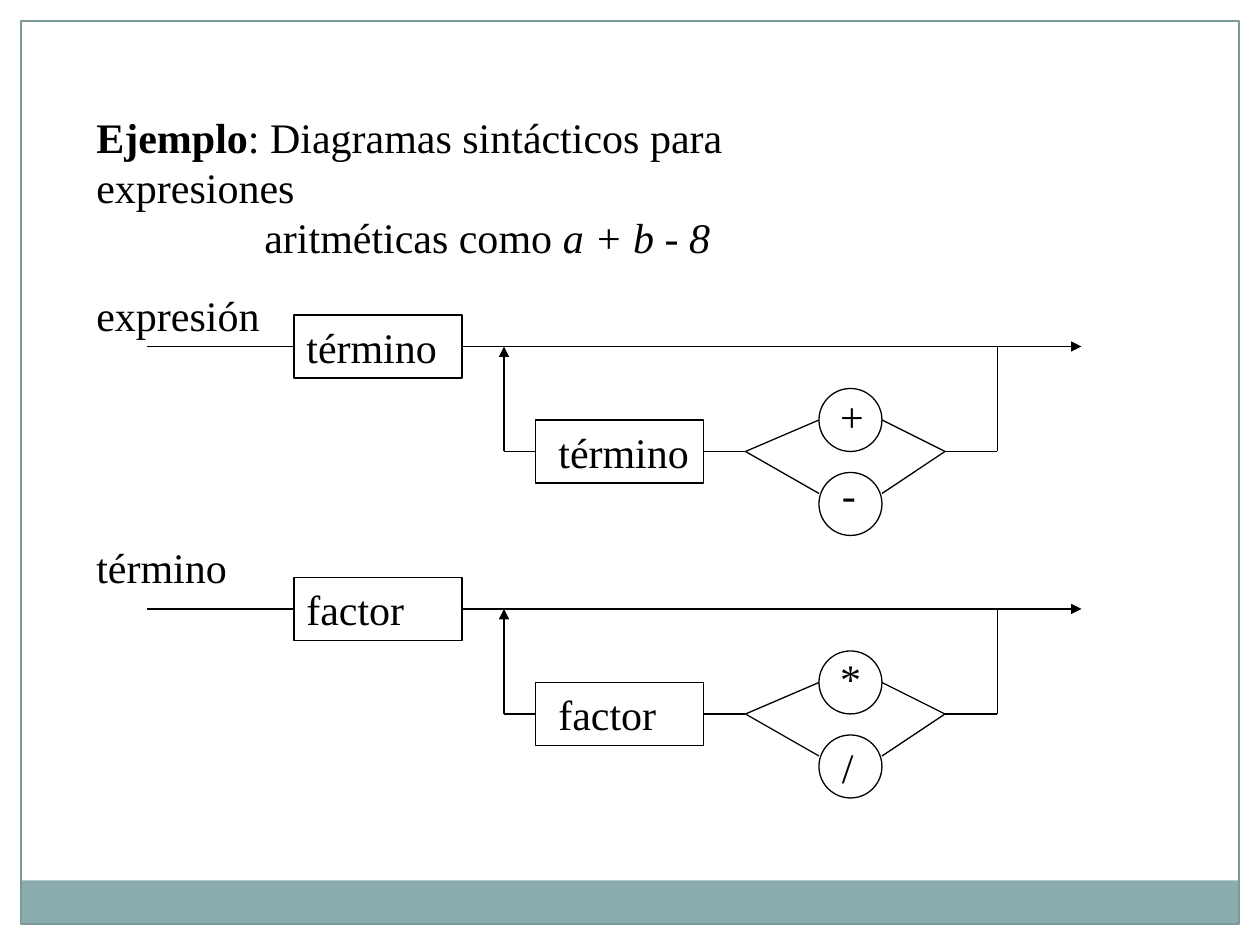
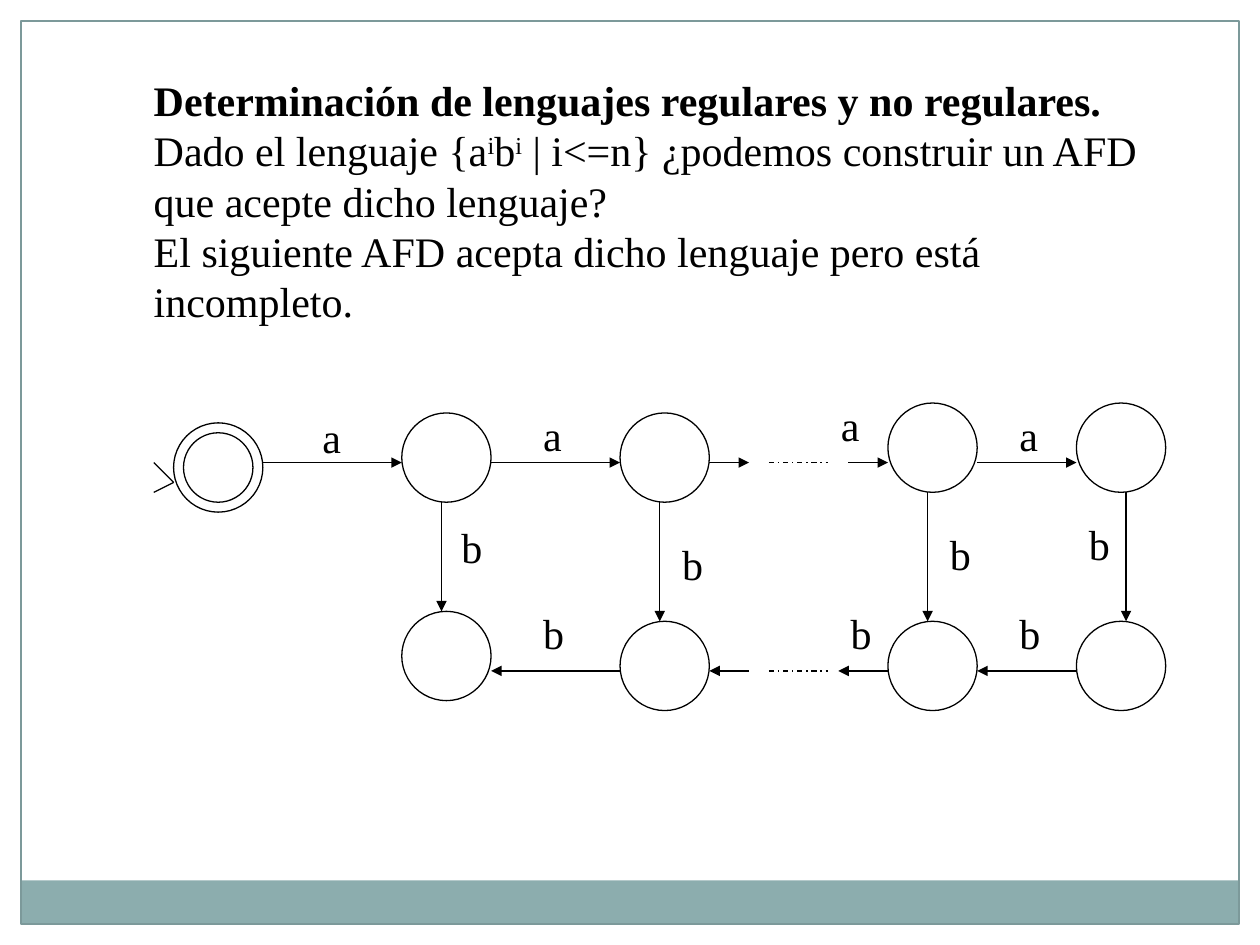
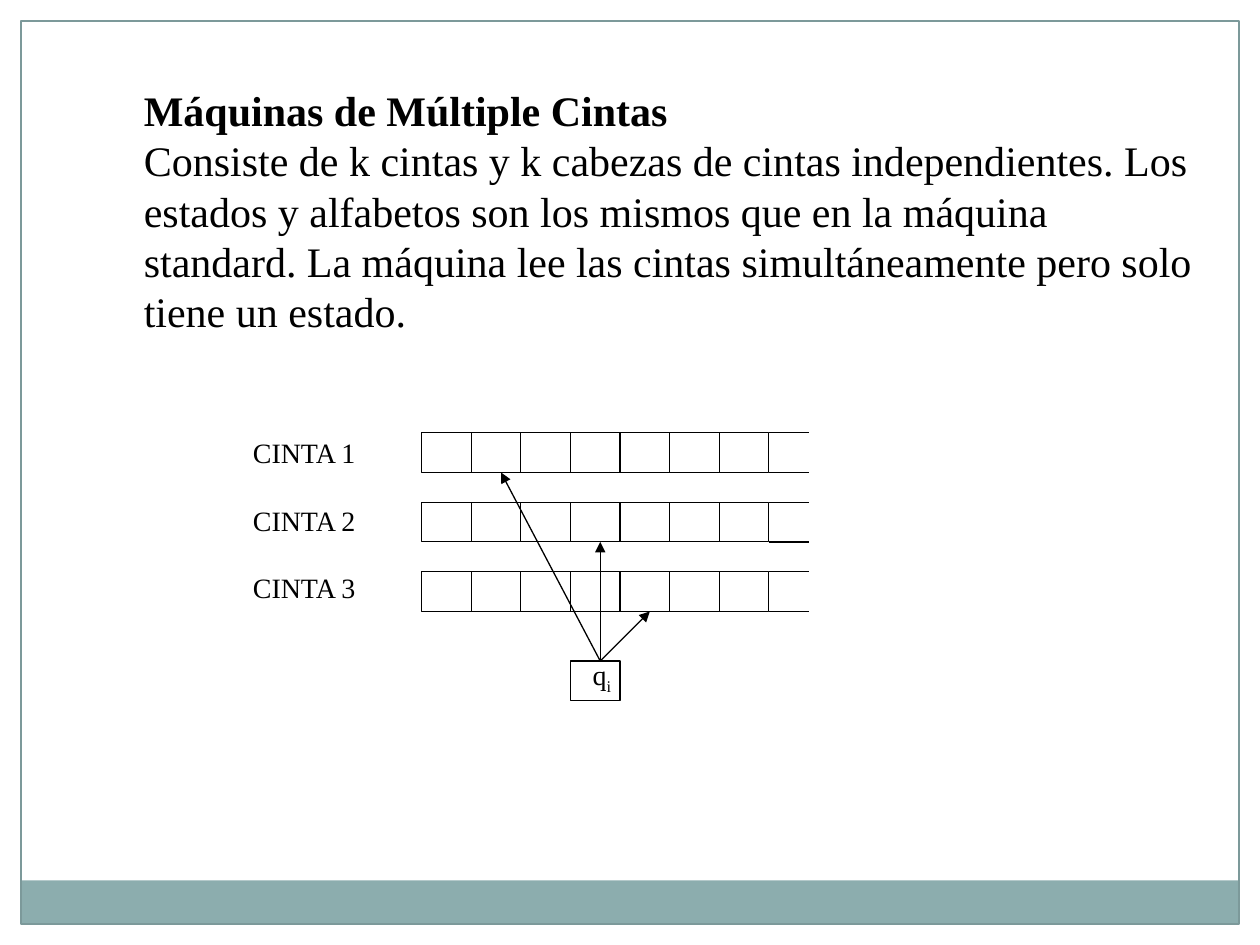
from dataclasses import dataclass
from typing import Any

from lxml import etree
from pptx import Presentation
from pptx import util as u
from pptx.dml.color import RGBColor
from pptx.enum import dml, shapes, text
from pptx.oxml import ns

INK = "000000"
BAND = "8CADAE"
FRAME = "7C999A"
FONT = "Times New Roman"
RECT = shapes.MSO_SHAPE.RECTANGLE
OVAL = shapes.MSO_SHAPE.OVAL
TWELFTH = u.Inches(1) // 12
MILLIMETRE = u.Mm(1)
TOP, LEFT, BOTTOM, RIGHT = range(4)


@dataclass
class Board:
    shapes: Any
    cell: int
    top: float = 0

    def x(self, column):
        return u.Emu(round(column * self.cell))

    def y(self, row):
        return u.Emu(round((row + self.top) * self.cell))

    def place(self, column, row, width, height):
        return self.x(column), self.y(row), self.x(width), self.x(height)


def colour(value):
    return RGBColor.from_string(value)


def apply(target, values):
    for name, value in values.items():
        setattr(target, name, value)


def draw_shape(holder, kind, place, line=INK, fill=None):
    shape = holder.add_shape(kind, *place)
    shape.shadow.inherit = False
    if fill:
        shape.fill.solid()
        shape.fill.fore_color.rgb = colour(fill)
    else:
        shape.fill.background()
    if line:
        shape.line.color.rgb = colour(line)
        shape.line.width = u.Pt(0.75)
    else:
        shape.line.fill.background()
    return shape


def outline(board, kind, column, row, width, height):
    return draw_shape(board.shapes, kind, board.place(column, row, width, height))


def link(board, start, end, arrow=False, dashed=False, begin=None, finish=None):
    line = board.shapes.add_connector(
        shapes.MSO_CONNECTOR.STRAIGHT,
        board.x(start[0]), board.y(start[1]), board.x(end[0]), board.y(end[1]))
    line.line.color.rgb = colour(INK)
    line.line.width = u.Pt(0.75)
    if dashed:
        line.line.dash_style = dml.MSO_LINE.DASH_DOT
    if arrow:
        etree.SubElement(line.line._get_or_add_ln(), ns.qn("a:tailEnd"), type="triangle")
    etree.SubElement(line._element.spPr, ns.qn("a:effectLst"))
    if begin:
        line.begin_connect(*begin)
    if finish:
        line.end_connect(*finish)
    return line


def write(board, place, paragraphs, size=24, wrap=True, gap=0):
    box = board.shapes.add_textbox(*board.place(*place))
    frame = box.text_frame
    apply(frame, {"word_wrap": wrap, "auto_size": text.MSO_AUTO_SIZE.SHAPE_TO_FIT_TEXT})
    for index, spans in enumerate(paragraphs):
        para = frame.paragraphs[0] if index == 0 else frame.add_paragraph()
        if index and gap:
            para.space_before = u.Pt(gap)
        for words, style in spans:
            span = para.add_run()
            span.text = words
            apply(span.font, {"name": FONT, "size": u.Pt(size),
                              "bold": style == "bold", "italic": style == "italic"})
            span.font.color.rgb = colour(INK)
            if isinstance(style, int):
                span._r.get_or_add_rPr().set("baseline", str(style * 1000))
    return box


def label(board, column, row, width, height, words):
    return write(board, (column, row, width, height), [[(words, None)]], wrap=False)


def add_page(deck):
    page = deck.slides.add_slide(deck.slide_layouts[6])
    wide, high = deck.slide_width, deck.slide_height
    margin = round(wide / 60)
    band = round(high * 0.046)
    inner = wide - 2 * margin
    draw_shape(page.shapes, RECT, (margin, high - margin - band, inner, band), None, BAND)
    draw_shape(page.shapes, RECT, (margin, margin, inner, high - 2 * margin), FRAME)
    return page


def syntax_diagram(board, row, part, part_width, operators):
    main_row, loop_row = row + 3, row + 13
    first = outline(board, RECT, 28, row, 16, 6)
    repeat = outline(board, RECT, 51, row + 10, 16, 6)
    link(board, (14, main_row), (28, main_row), finish=(first, LEFT))
    link(board, (44, main_row), (103, main_row), arrow=True, begin=(first, RIGHT))
    link(board, (51, loop_row), (48, loop_row), begin=(repeat, LEFT))
    link(board, (48, loop_row), (48, main_row), arrow=True)
    link(board, (67, loop_row), (71, loop_row), begin=(repeat, RIGHT))
    for circle_row, join_row in ((row + 7, row + 10), (row + 15, row + 17)):
        outline(board, OVAL, 78, circle_row, 6, 6)
        link(board, (71, loop_row), (78, join_row))
        link(board, (84, join_row), (90, loop_row))
    link(board, (90, loop_row), (95, loop_row))
    link(board, (95, loop_row), (95, main_row))
    label(board, 28, row, part_width, 6, part)
    label(board, 52, row + 10, part_width, 6, part)
    for symbol, column, offset, width in operators:
        label(board, column, row + offset, width, 6, symbol)


def syntax_page(deck):
    board = Board(add_page(deck).shapes, TWELFTH)
    heading = write(board, (8, 10, 78, 10.8), [
        [("Ejemplo", "bold"), (": Diagramas sintácticos para expresiones", None)],
        [("aritméticas como ", None), ("a + b - 8", "italic")]])
    heading.text_frame.paragraphs[1]._p.get_or_add_pPr().set("marL", str(board.x(16)))
    label(board, 8, 27, 18, 6, "expresión")
    syntax_diagram(board, 30, "término", 14.88,
                   (("+", 78.84, 6.6, 4.68), ("-", 79, 14, 3.72)))
    label(board, 8, 51, 14.88, 6, "término")
    syntax_diagram(board, 55, "factor", 11.76,
                   (("*", 78.84, 6.6, 4.44), ("/", 79, 15, 3.48)))


def automaton_page(deck):
    board = Board(add_page(deck).shapes, MILLIMETRE, 0.25)
    write(board, (28.5, 13.5, 210.5, 53.8), [
        [("Determinación de lenguajes regulares y no regulares.", "bold")],
        [("Dado el lenguaje {a", None), ("i", 30), ("b", None), ("i", 30),
         (" | i<=n} ¿podemos construir un AFD que acepte dicho lenguaje?", None)],
        [("El siguiente AFD acepta dicho lenguaje pero está incompleto.", None)]])

    state = 18
    outline(board, OVAL, 35, 85, state, state)
    outline(board, OVAL, 37, 87, 14, 14)
    for start_row in (93, 99):
        link(board, (31, start_row), (35, 97))
    for column, upper, lower, drop in ((81, 83, 123, 8), (125, 83, 125, 8),
                                       (179, 81, 125, 8), (217, 81, 125, 10)):
        outline(board, OVAL, column, upper, state, state)
        outline(board, OVAL, column, lower, state, state)
        link(board, (column + drop, upper + state), (column + drop, lower), arrow=True)

    read_row, return_row = 93, 135
    for start, end in ((53, 81), (99, 125), (143, 151), (171, 179), (197, 217)):
        link(board, (start, read_row), (end, read_row), arrow=True)
    for start, end in ((217, 197), (179, 169), (151, 143), (125, 99)):
        link(board, (start, return_row), (end, return_row), arrow=True)
    for row in (read_row, return_row):
        link(board, (155, row), (167, row), dashed=True)
    link(board, (99, 133), (99, 133), arrow=True)

    for column, row in ((62.5, 81.5), (107, 81), (167, 79), (203, 81)):
        label(board, column, row, 8.9, 12.7, "a")
    for column, row in ((90.5, 103.6), (135, 107), (189, 105), (217, 103),
                        (107, 121), (169, 121), (203, 121)):
        label(board, column, row, 9.4, 12.7, "b")


def tape(board, row, cells=7, left=85, width=10, height=8):
    strip = Board(board.shapes.add_group_shape().shapes, board.cell, board.top)
    for index in range(cells):
        outline(strip, RECT, left + index * width, row, width, height)
    right = left + cells * width
    for edge in (row, row + height):
        link(strip, (right, edge), (right + 8, edge))


def tapes_page(deck):
    board = Board(add_page(deck).shapes, MILLIMETRE, 0.25)
    write(board, (26.5, 15.5, 218.7, 53.3), [
        [("Máquinas de Múltiple Cintas", "bold")],
        [("Consiste de k cintas y k cabezas de cintas independientes. Los estados y "
          "alfabetos son los mismos que en la máquina standard. La máquina lee las "
          "cintas simultáneamente pero solo tiene un estado.", None)]])
    for index in range(3):
        tape(board, 87 + 14 * index)
    write(board, (48.5, 86.4, 26.7, 36.6),
          [[(f"CINTA {number}", None)] for number in (1, 2, 3)],
          size=16, wrap=False, gap=19.2)
    outline(board, RECT, 115, 133, 10, 8)
    for head in ((131, 123), (121, 109), (101, 95)):
        link(board, (121, 133), head, arrow=True)
    write(board, (117, 131, 8.9, 9.4), [[("q", None), ("i", -25)]], size=16)


def main():
    deck = Presentation()
    apply(deck, {"slide_width": u.Inches(10), "slide_height": u.Inches(7.5)})
    syntax_page(deck)
    automaton_page(deck)
    tapes_page(deck)
    deck.save("out.pptx")


if __name__ == "__main__":
    main()
